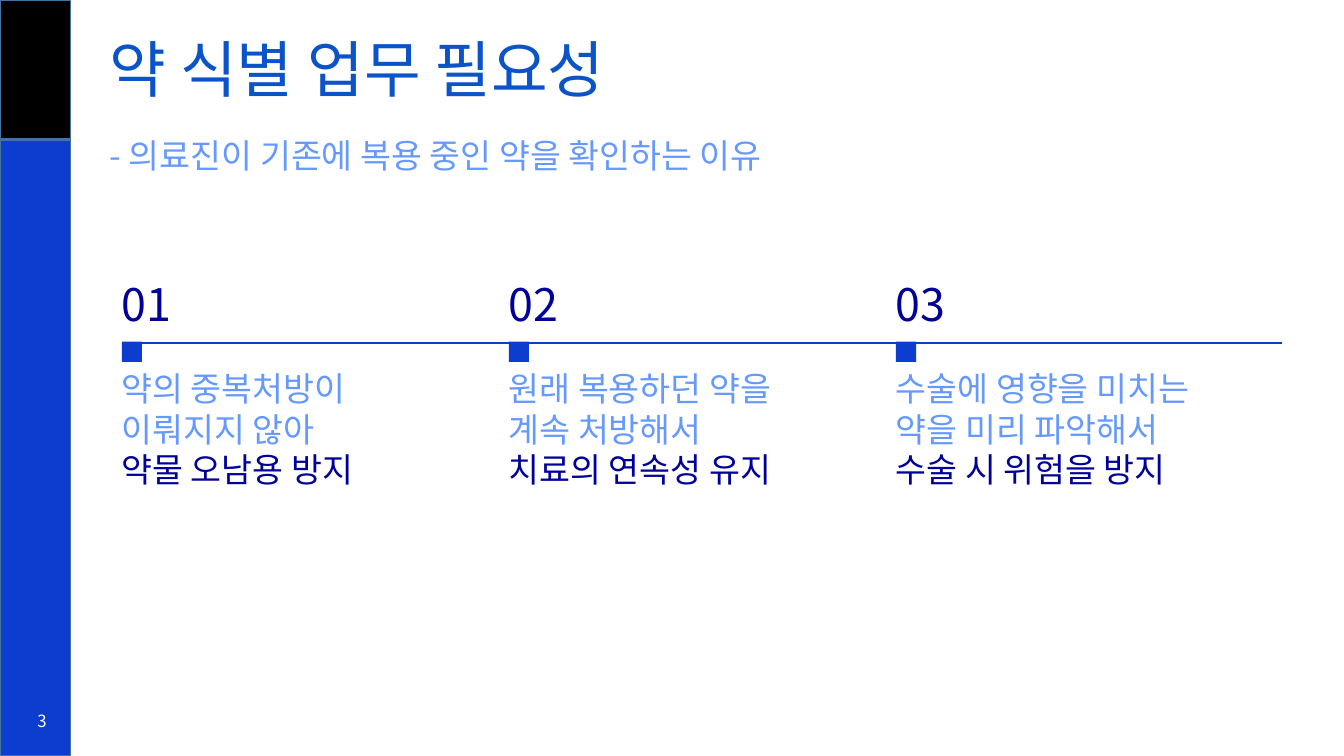
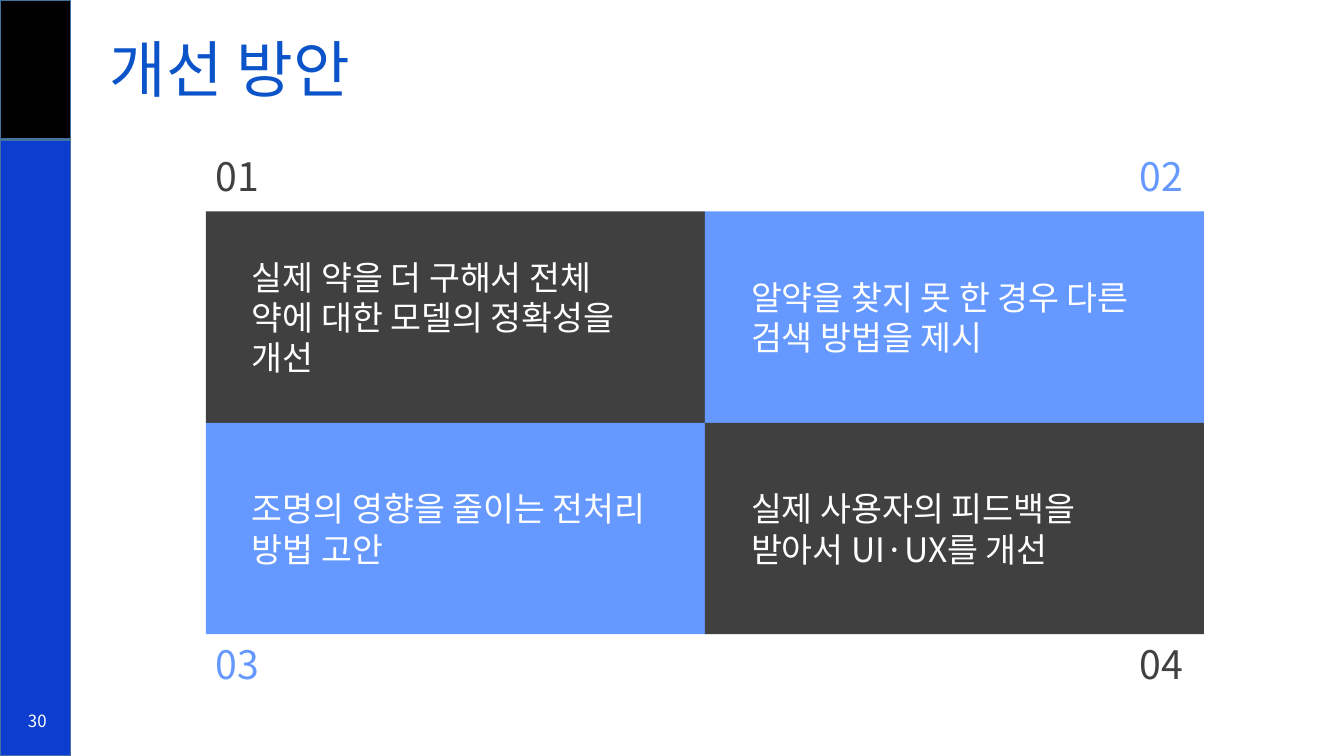
from dataclasses import dataclass
from itertools import product

from lxml.etree import SubElement
from pptx import Presentation
from pptx.dml.color import RGBColor
from pptx.enum.shapes import MSO_CONNECTOR as Connector, MSO_SHAPE as Shape
from pptx.enum.text import MSO_ANCHOR as Anchor, MSO_AUTO_SIZE as AutoSize, PP_ALIGN as Align
from pptx.oxml.ns import qn
from pptx.util import Pt


@dataclass(frozen=True)
class Theme:
    font: str = "Noto Sans CJK KR"
    heading: str = "0B53C8"
    accent: str = "0C3DCF"
    light: str = "6699FF"
    navy: str = "000099"
    dark: str = "404040"
    white: str = "FFFFFF"
    black: str = "000000"
    band_edge: str = "43739E"
    title_size: int = 44
    step_size: int = 32
    label_size: int = 28
    body_size: int = 24
    page_size: int = 12


THEME = Theme()
SLIDE_W, SLIDE_H = 960, 540
BAND_W, HEADER_H = 50.4, 100
INSET = 7.2
HEADING_MARGINS = (28, 3.6, 7.2, 0)
PLAIN_MARGINS = (INSET, 3.6, INSET, 3.6)


def set_all(target, values):
    for name, value in values.items():
        setattr(target, name, value)


class Deck:
    """Holds the theme, the presentation and the slide being built."""

    def __init__(self, theme):
        self.theme = theme
        self.presentation = Presentation()
        set_all(self.presentation, {"slide_width": Pt(SLIDE_W), "slide_height": Pt(SLIDE_H)})
        self.slide = None

    def new_slide(self, title, page, subtitle=None):
        """Start a slide with its side bands, heading and page number."""
        theme = self.theme
        layout = self.presentation.slide_layouts[1 if subtitle else 5]
        self.slide = self.presentation.slides.add_slide(layout)
        self.box(0, HEADER_H, BAND_W, SLIDE_H - HEADER_H, theme.accent, theme.band_edge)
        self.box(0, 0, BAND_W, HEADER_H - 0.6, theme.black, theme.band_edge)
        self.heading(0, title, (0, 828, HEADER_H), theme.title_size, theme.heading)
        if subtitle:
            self.heading(1, subtitle, (91.4, SLIDE_W - BAND_W, 39), theme.body_size, theme.light)
        self.text(7.2, 500.4, 33.2, 28.8, [(page, theme.white)], theme.page_size,
                  anchor=Anchor.MIDDLE, align=Align.RIGHT)

    def heading(self, index, words, place, size, color):
        """Move and fill the title (index 0) or body (index 1) placeholder."""
        holder = self.slide.placeholders[index]
        top, width, height = place
        set_all(holder, {"left": Pt(BAND_W), "top": Pt(top),
                         "width": Pt(width), "height": Pt(height)})
        self.fill_text(holder.text_frame, [(words, color)], size, Anchor.MIDDLE,
                       margins=HEADING_MARGINS, spacing=0.9)
        properties = holder.text_frame.paragraphs[0]._p.get_or_add_pPr()
        for name in ("marL", "indent"):
            properties.set(name, "0")
        SubElement(properties, qn("a:buNone"))

    def box(self, left, top, width, height, fill, edge=None):
        box = self.slide.shapes.add_shape(
            Shape.RECTANGLE, Pt(left), Pt(top), Pt(width), Pt(height))
        box.shadow.inherit = False
        box.fill.solid()
        box.fill.fore_color.rgb = RGBColor.from_string(fill)
        if edge:
            box.line.color.rgb = RGBColor.from_string(edge)
            box.line.width = Pt(1)
        else:
            box.line.fill.background()
        return box

    def tile(self, left, top, width, height, fill, words):
        tile = self.box(left, top, width, height, fill)
        self.fill_text(tile.text_frame, [(words, self.theme.white)], self.theme.body_size,
                       Anchor.MIDDLE, margins=(33, 3.6, 36, 3.6))

    def text(self, left, top, width, height, lines, size, anchor=Anchor.TOP, align=Align.LEFT):
        frame = self.slide.shapes.add_textbox(
            Pt(left), Pt(top), Pt(width), Pt(height)).text_frame
        self.fill_text(frame, lines, size, anchor, align)

    def line(self, x1, x2, y):
        line = self.slide.shapes.add_connector(
            Connector.STRAIGHT, Pt(x1), Pt(y), Pt(x2), Pt(y))
        line.line.color.rgb = RGBColor.from_string(self.theme.accent)
        line.line.width = Pt(1.5)
        SubElement(line._element.spPr, qn("a:effectLst"))

    def fill_text(self, frame, lines, size, anchor, align=Align.LEFT,
                  margins=PLAIN_MARGINS, spacing=1.0):
        """Fill a text frame with one paragraph per (words, color) pair."""
        left, top, right, bottom = map(Pt, margins)
        set_all(frame, {"word_wrap": True, "auto_size": AutoSize.NONE,
                        "vertical_anchor": anchor, "margin_left": left, "margin_top": top,
                        "margin_right": right, "margin_bottom": bottom})
        for number, (words, color) in enumerate(lines):
            paragraph = frame.add_paragraph() if number else frame.paragraphs[0]
            set_all(paragraph, {"alignment": align, "line_spacing": spacing,
                                "space_before": Pt(0)})
            run = paragraph.add_run()
            run.text = words
            set_all(run.font, {"size": Pt(size), "name": self.theme.font})
            run.font.color.rgb = RGBColor.from_string(color)
            SubElement(run._r.get_or_add_rPr(), qn("a:ea"), typeface=self.theme.font)


def build_reasons(deck):
    theme = deck.theme
    deck.new_slide("약 식별 업무 필요성", "3", "- 의료진이 기존에 복용 중인 약을 확인하는 이유")
    reasons = [
        ("약의 중복처방이", "이뤄지지 않아", "약물 오남용 방지"),
        ("원래 복용하던 약을", "계속 처방해서", "치료의 연속성 유지"),
        ("수술에 영향을 미치는", "약을 미리 파악해서", "수술 시 위험을 방지"),
    ]
    colors = (theme.light, theme.light, theme.navy)
    first_marker, step, axis_y, marker = 87, 276.5, 244.8, 14.4
    deck.line(first_marker + 3.7, 916, axis_y)
    for index, reason in enumerate(reasons):
        left = first_marker + index * step
        deck.box(left, axis_y - 0.7, marker, marker, theme.accent)
        deck.text(left - INSET, 194, 73, 46, [(f"{index + 1:02}", theme.navy)], theme.step_size)
        deck.text(left - INSET, 259.5, 250, 94.5, list(zip(reason, colors)), theme.body_size)


def build_improvements(deck):
    theme = deck.theme
    deck.new_slide("개선 방안", "30")
    improvements = [
        "실제 약을 더 구해서 전체 약에 대한 모델의 정확성을 개선",
        "알약을 찾지 못 한 경우 다른 검색 방법을 제시",
        "조명의 영향을 줄이는 전처리 방법 고안",
        "실제 사용자의 피드백을 받아서 UI·UX를 개선",
    ]
    grid_left, grid_top, tile_w, tile_h = 147, 151, 356.5, 151
    label_w, label_h = 53, 41
    label_lefts = (grid_left, grid_left + 2 * tile_w - label_w)
    label_tops = (grid_top - label_h - 5, grid_top + 2 * tile_h + 1)
    for index, (row, column) in enumerate(product(range(2), repeat=2)):
        color = theme.dark if row == column else theme.light
        deck.tile(grid_left + column * tile_w, grid_top + row * tile_h,
                  tile_w, tile_h, color, improvements[index])
        deck.text(label_lefts[column], label_tops[row], label_w, label_h,
                  [(f"{index + 1:02}", color)], theme.label_size)


def main():
    deck = Deck(THEME)
    build_reasons(deck)
    build_improvements(deck)
    deck.presentation.save("out.pptx")


if __name__ == "__main__":
    main()
